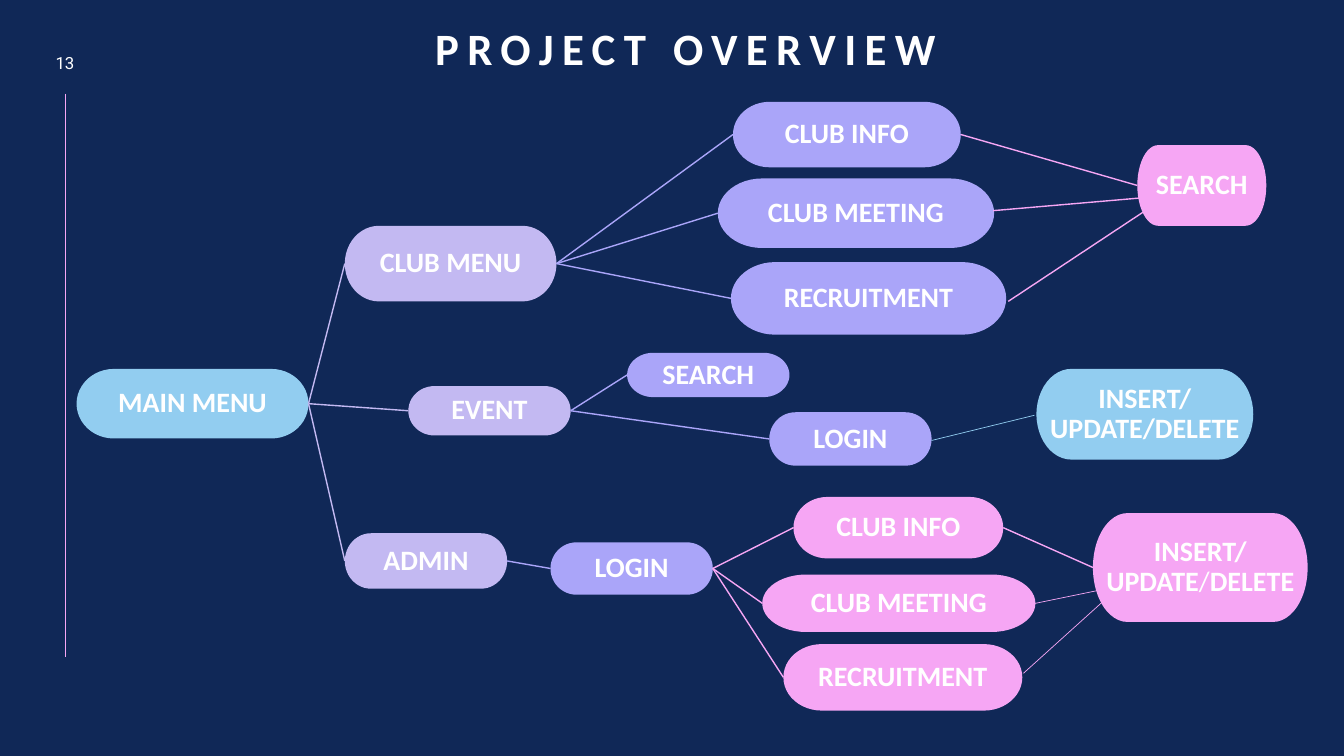
from dataclasses import dataclass

from lxml.etree import SubElement
from pptx import Presentation
from pptx.dml.color import RGBColor
from pptx.enum.shapes import MSO_CONNECTOR as Connector, MSO_SHAPE as Preset
from pptx.enum.text import MSO_ANCHOR as Anchor, PP_ALIGN as Align
from pptx.oxml.ns import qn
from pptx.util import Inches, Pt


@dataclass(frozen=True)
class Theme:
    navy: str = "102857"
    white: str = "FFFFFF"
    sky: str = "92CDF0"
    lilac: str = "C3B9F2"
    violet: str = "AAA5F9"
    pink: str = "F6A6F4"
    heading_font: str = "Calibri"
    number_font: str = "Roboto"
    title_size: int = 32
    node_size: int = 20
    number_size: int = 12
    thin: float = 0.5
    medium: float = 1


@dataclass(frozen=True)
class Node:
    runs: tuple[str, ...]
    color: str
    left: float
    top: float
    width: float
    height: float
    parent: str = ""

    @property
    def entry(self) -> tuple[float, float]:
        return self.left, self.top + self.height / 2

    @property
    def exit(self) -> tuple[float, float]:
        return self.left + self.width, self.top + self.height / 2


@dataclass(frozen=True)
class Link:
    start: tuple[float, float]
    end: tuple[float, float]
    color: str
    weight: float


THEME = Theme()

NODES = {
    "main": Node(("MAIN MENU",), THEME.sky, 0.76, 3.66, 2.3, 0.69),
    "club": Node(("CLUB MENU",), THEME.lilac, 3.42, 2.24, 2.1, 0.75, "main"),
    "club info": Node(("CLUB INFO",), THEME.violet, 7.27, 1.01, 2.26, 0.65, "club"),
    "club search": Node(("SEARCH",), THEME.pink, 11.28, 1.44, 1.28, 0.8, "club info"),
    "club meeting": Node(("CLUB MEETING",), THEME.violet, 7.12, 1.77, 2.74, 0.69, "club"),
    "club recruitment": Node(("RECRUITMENT",), THEME.violet, 7.25, 2.6, 2.73, 0.72, "club"),
    "event": Node(("EVENT",), THEME.lilac, 4.05, 3.83, 1.61, 0.49, "main"),
    "event search": Node(("SEARCH",), THEME.violet, 6.22, 3.5, 1.61, 0.44, "event"),
    "event login": Node(("LOGIN",), THEME.violet, 7.63, 4.09, 1.61, 0.53, "event"),
    "admin": Node(("ADMIN",), THEME.lilac, 3.42, 5.29, 1.61, 0.55, "main"),
    "admin login": Node(("LOGIN",), THEME.violet, 5.46, 5.38, 1.61, 0.52, "admin"),
    "admin info": Node(("CLUB INFO",), THEME.pink, 7.87, 4.93, 2.08, 0.61, "admin login"),
    "admin edit": Node(
        ("INSERT/UPDATE", "/", "DELETE"), THEME.pink, 10.84, 5.09, 2.13, 1.08, "admin info"
    ),
    "admin meeting": Node(("CLUB MEETING",), THEME.pink, 7.56, 5.7, 2.71, 0.57, "admin login"),
    "admin recruitment": Node(("RECRUITMENT",), THEME.pink, 7.77, 6.39, 2.37, 0.66, "admin login"),
    "event edit": Node(("INSERT/UPDATE/DELETE",), THEME.sky, 10.28, 3.66, 2.15, 0.9),
}

MARGIN_LINE = Link((0.65, 0.93), (0.65, 6.52), THEME.pink, THEME.thin)

CROSS_LINKS = (
    Link((9.24, 4.37), (10.26, 4.12), THEME.sky, THEME.thin),
    Link((10.15, 6.01), (10.88, 5.86), THEME.pink, THEME.thin),
    Link((10.15, 6.68), (10.97, 5.94), THEME.pink, THEME.thin),
    Link((9.85, 2.09), (11.36, 1.96), THEME.pink, THEME.medium),
    Link((10, 2.99), (11.36, 2.09), THEME.pink, THEME.medium),
)


def write_text(
    shape,
    *runs: str,
    size: float,
    font: str = THEME.heading_font,
    bold: bool = True,
    anchor: Anchor = Anchor.MIDDLE,
    line_spacing: float = 0.9,
    letter_spacing: float = 0,
    inset: float | None = None,
) -> None:
    frame = shape.text_frame
    frame.word_wrap = True
    frame.vertical_anchor = anchor
    if inset is not None:
        frame.margin_left = frame.margin_right = Inches(inset)
        frame.margin_top = frame.margin_bottom = Inches(inset)
    paragraph = frame.paragraphs[0]
    paragraph.alignment = Align.CENTER
    paragraph.line_spacing = line_spacing
    for index, text in enumerate(runs):
        run = paragraph.add_run()
        run.text = text
        run.font.name = font
        run.font.size = Pt(size)
        run.font.bold = bold and index % 2 == 0
        run.font.color.rgb = RGBColor.from_string(THEME.white)
        if letter_spacing:
            run._r.get_or_add_rPr().set("spc", str(round(letter_spacing * 100)))


def add_text_box(slide, left: float, top: float, width: float, height: float):
    return slide.shapes.add_textbox(Inches(left), Inches(top), Inches(width), Inches(height))


def draw_link(slide, link: Link) -> None:
    points = [Inches(value) for value in (*link.start, *link.end)]
    connector = slide.shapes.add_connector(Connector.STRAIGHT, *points)
    connector.line.color.rgb = RGBColor.from_string(link.color)
    connector.line.width = Pt(link.weight)
    SubElement(connector._element.spPr, qn("a:effectLst"))


def draw_node(slide, node: Node) -> None:
    if node.parent:
        start = NODES[node.parent].exit
        draw_link(slide, Link(start, node.entry, node.color, THEME.medium))
    shape = slide.shapes.add_shape(
        Preset.FLOWCHART_TERMINATOR,
        Inches(node.left), Inches(node.top), Inches(node.width), Inches(node.height),
    )
    shape.shadow.inherit = False
    shape.fill.solid()
    shape.fill.fore_color.rgb = RGBColor.from_string(node.color)
    shape.line.fill.background()
    write_text(shape, *node.runs, size=THEME.node_size, inset=0.01)


def main() -> None:
    presentation = Presentation()
    presentation.slide_width = Inches(13.33)
    presentation.slide_height = Inches(7.5)
    slide = presentation.slides.add_slide(presentation.slide_layouts[6])
    slide.background.fill.solid()
    slide.background.fill.fore_color.rgb = RGBColor.from_string(THEME.navy)

    draw_link(slide, MARGIN_LINE)
    title = add_text_box(slide, 0.85, 0.17, 11.9, 0.62)
    write_text(
        title, "PROJECT OVERVIEW",
        size=THEME.title_size, anchor=Anchor.BOTTOM, letter_spacing=6,
    )
    number = add_text_box(slide, 0.36, 0.45, 0.57, 0.34)
    write_text(
        number, "13",
        size=THEME.number_size, font=THEME.number_font, bold=False, line_spacing=1,
    )
    for node in NODES.values():
        draw_node(slide, node)
    for link in CROSS_LINKS:
        draw_link(slide, link)

    presentation.save("out.pptx")


if __name__ == "__main__":
    main()
